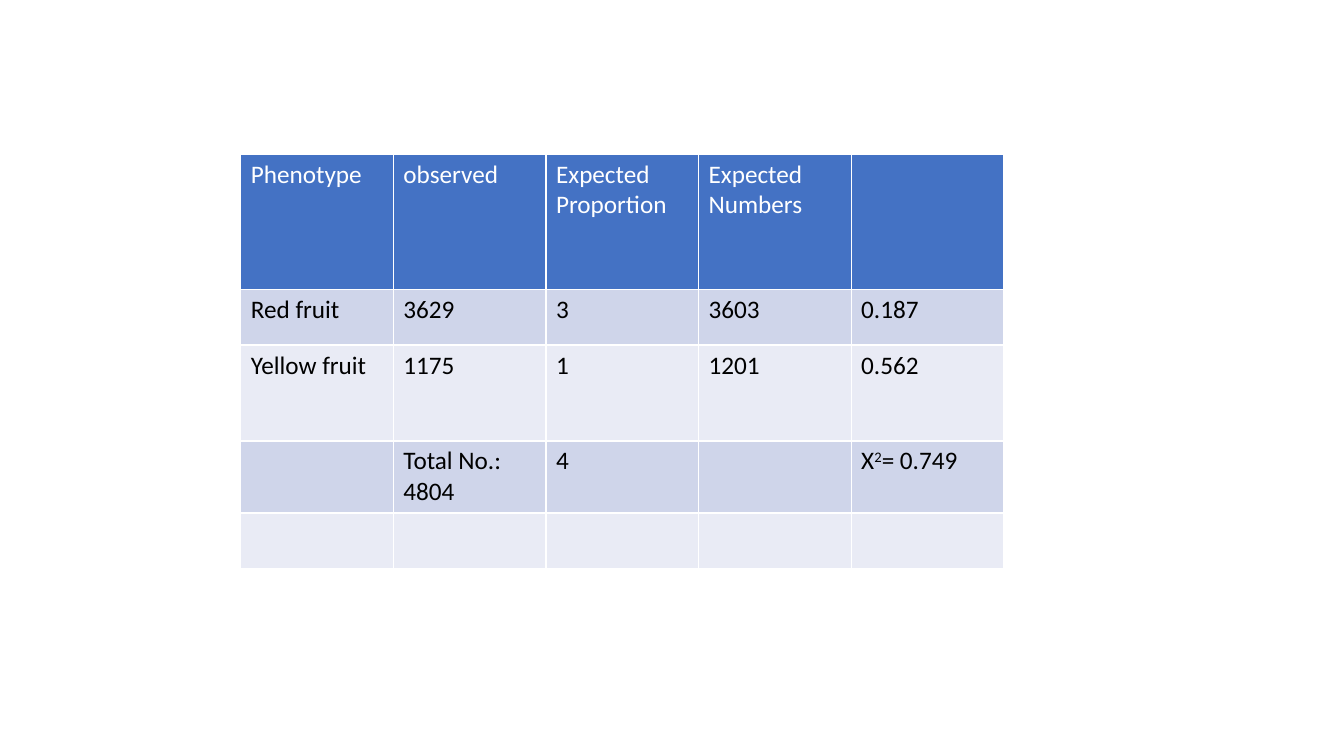
"""Build a slide with a table of observed and expected phenotypes."""
from dataclasses import dataclass

from lxml.etree import SubElement
from pptx import Presentation
from pptx.dml.color import RGBColor
from pptx.oxml.ns import qn
from pptx.slide import Slide
from pptx.table import _Cell as Cell
from pptx.util import Emu, Pt

EMU_PER_PX = 6350
RAISE_MARK = "^"


@dataclass(frozen=True)
class Theme:
    font: str = "Calibri"
    text_size: int = 18
    header_fill: str = "4472C4"
    header_text: str = "FFFFFF"
    band_fills: tuple[str, str] = ("CFD5EA", "E9EBF5")
    body_text: str = "000000"
    rule: str = "FFFFFF"
    rule_width: int = 1


@dataclass(frozen=True)
class TableRow:
    height: int
    entries: tuple[str, str, str, str, str]


THEME = Theme()
SLIDE_WIDTH, SLIDE_HEIGHT = 1920, 1080
TABLE_LEFT, TABLE_TOP, COLUMN_WIDTH = 344, 220, 218
PHENOTYPE_ROWS = (
    TableRow(194, ("Phenotype", "observed", "Expected Proportion", "Expected Numbers", "")),
    TableRow(79, ("Red fruit", "3629", "3", "3603", "0.187")),
    TableRow(137, ("Yellow fruit", "1175", "1", "1201", "0.562")),
    TableRow(103, ("", "Total No.: 4804", "4", "", "X^2^= 0.749")),
    TableRow(79, ("", "", "", "", "")),
)


def px(length: int) -> Emu:
    """Turn a length in px into EMU."""
    return Emu(length * EMU_PER_PX)


def draw_borders(cell: Cell) -> None:
    """Rule all four sides of a cell."""
    properties = cell._tc.get_or_add_tcPr()
    for side in "LRTB":
        border = SubElement(properties, qn(f"a:ln{side}"), w=str(Pt(THEME.rule_width)))
        fill = SubElement(border, qn("a:solidFill"))
        SubElement(fill, qn("a:srgbClr"), val=THEME.rule)


def write_entry(cell: Cell, entry: str, color: str) -> None:
    """Write an entry, raising the parts between marks."""
    paragraph = cell.text_frame.paragraphs[0]
    paragraph.font.size = Pt(THEME.text_size)
    for position, part in enumerate(entry.split(RAISE_MARK) if entry else ()):
        run = paragraph.add_run()
        run.text = part
        run.font.name = THEME.font
        run.font.size = Pt(THEME.text_size)
        run.font.bold = False
        run.font.color.rgb = RGBColor.from_string(color)
        if position % 2:
            run.font._element.set("baseline", "30000")


def draw_table(slide: Slide, rows: tuple[TableRow, ...]) -> None:
    """Draw the header and the banded body rows."""
    column_count = len(rows[0].entries)
    table = slide.shapes.add_table(
        len(rows), column_count, px(TABLE_LEFT), px(TABLE_TOP),
        px(COLUMN_WIDTH * column_count), px(sum(row.height for row in rows)),
    ).table
    for column in table.columns:
        column.width = px(COLUMN_WIDTH)
    for row_index, row in enumerate(rows):
        table.rows[row_index].height = px(row.height)
        is_header = row_index == 0
        fill = THEME.header_fill if is_header else THEME.band_fills[(row_index - 1) % 2]
        color = THEME.header_text if is_header else THEME.body_text
        for column_index, entry in enumerate(row.entries):
            cell = table.cell(row_index, column_index)
            draw_borders(cell)
            cell.fill.solid()
            cell.fill.fore_color.rgb = RGBColor.from_string(fill)
            write_entry(cell, entry, color)


def main() -> None:
    """Build and save the presentation."""
    presentation = Presentation()
    presentation.slide_width = px(SLIDE_WIDTH)
    presentation.slide_height = px(SLIDE_HEIGHT)
    blank_layout = presentation.slide_layouts[6]
    draw_table(presentation.slides.add_slide(blank_layout), PHENOTYPE_ROWS)
    presentation.save("out.pptx")


if __name__ == "__main__":
    main()
